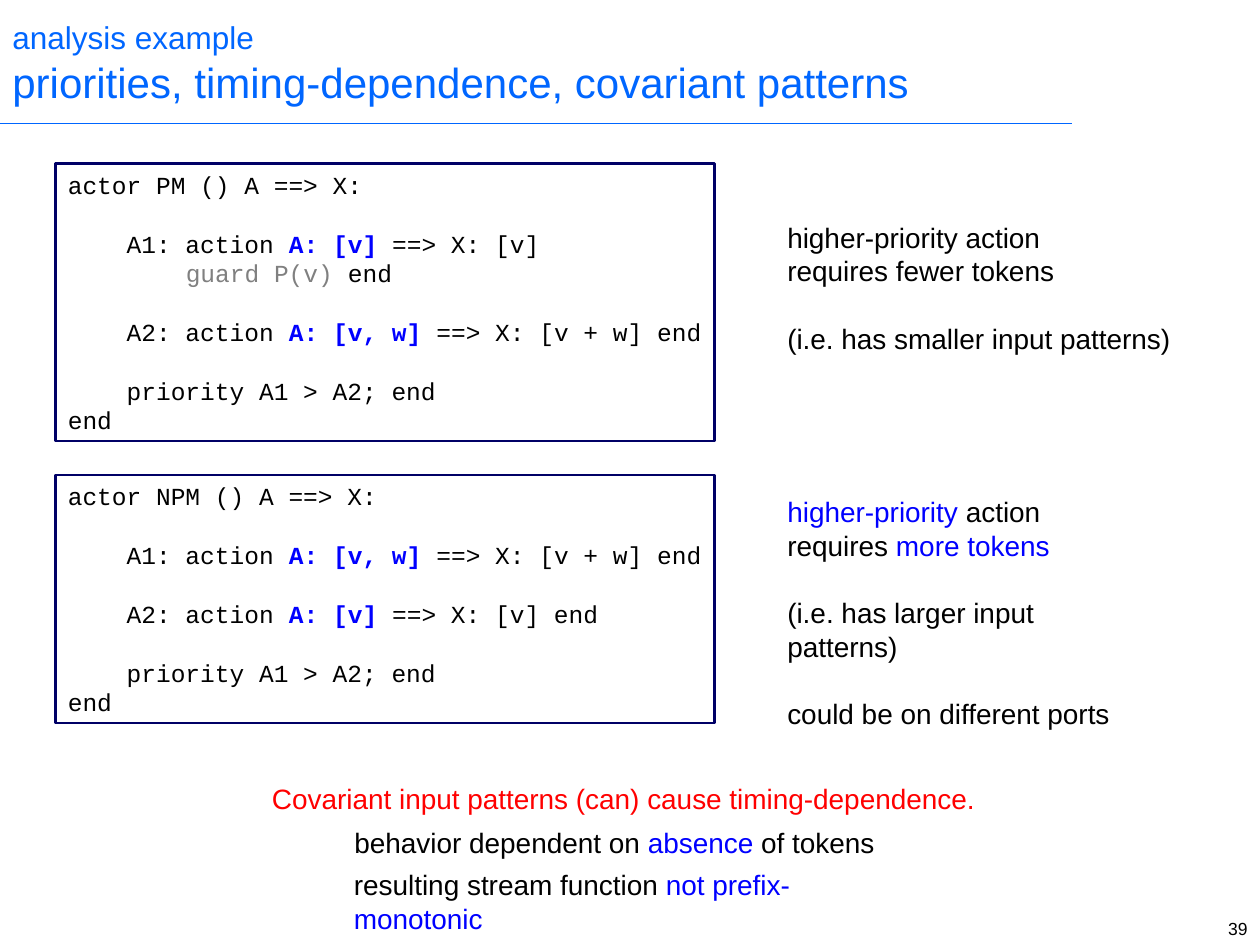
from lxml.etree import SubElement
from pptx import Presentation
from pptx.dml.color import RGBColor
from pptx.enum.shapes import MSO_CONNECTOR, MSO_SHAPE
from pptx.enum.text import MSO_ANCHOR, PP_ALIGN
from pptx.oxml.ns import qn
from pptx.util import Inches, Pt

LEADING = 1.2
BLACK, BLUE, GREY, RED = "000000", "0000FF", "808080", "FF0000"
TITLE_BLUE, FRAME_NAVY, WHITE = "0066FF", "000066", "FFFFFF"


def rgb(hex_code):
    return RGBColor.from_string(hex_code)


def write_lines(frame, lines, size, face="Arial", align=PP_ALIGN.LEFT):
    """Write lines of (text, colour, bold) pieces; an empty line becomes space before the next."""
    paragraph, gap = None, 0
    for pieces in lines:
        if not pieces:
            gap += size * LEADING
            continue
        paragraph = frame.add_paragraph() if paragraph else frame.paragraphs[0]
        paragraph.alignment = align
        paragraph.line_spacing = Pt(size * LEADING)
        if gap:
            paragraph.space_before = Pt(gap)
        gap = 0
        for text, colour, bold in pieces:
            run = paragraph.add_run()
            run.text = text
            run.font.color.rgb = rgb(colour)
            for key, value in {"name": face, "size": Pt(size), "bold": bold}.items():
                setattr(run.font, key, value)


prs = Presentation()
prs.slide_width, prs.slide_height = Inches(10), Inches(7.5)
slide = prs.slides.add_slide(prs.slide_layouts[6])

# Title and its rule
rule = slide.shapes.add_connector(
    MSO_CONNECTOR.STRAIGHT, 0, Inches(0.98), Inches(8.51), Inches(0.98))
rule.line.color.rgb = rgb(TITLE_BLUE)
rule.line.width = Pt(1)
SubElement(rule._element.spPr, qn("a:effectLst"))

heading = slide.shapes.add_textbox(0, 0, Inches(8.65), Inches(0.99)).text_frame
heading.word_wrap = True
heading.vertical_anchor = MSO_ANCHOR.MIDDLE
write_lines(heading, [[("analysis example", TITLE_BLUE, False)]], 18)
subject = heading.add_paragraph()
subject.line_spacing = Pt(24 * LEADING)
topic = subject.add_run()
topic.text = "priorities, timing-dependence, covariant patterns"
topic.font.color.rgb = rgb(TITLE_BLUE)
topic.font.name, topic.font.size = "Arial", Pt(24)

# Actor listings
ONE_TOKEN = ("A: [v]", BLUE, True)
TWO_TOKENS = ("A: [v, w]", BLUE, True)
A1 = ("    A1: action ", BLACK, False)
A2 = ("    A2: action ", BLACK, False)
SUM = (" ==> X: [v + w] end", BLACK, False)
CLOSING = [[], [("    priority A1 > A2; end", BLACK, False)], [("end", BLACK, False)]]

actors = [
    (1.3, 2.2, [
        [("actor PM () A ==> X:", BLACK, False)], [],
        [A1, ONE_TOKEN, (" ==> X: [v]", BLACK, False)],
        [("        ", BLACK, False), ("guard P(v) ", GREY, False), ("end", BLACK, False)], [],
        [A2, TWO_TOKENS, SUM]]),
    (3.77, 1.97, [
        [("actor NPM () A ==> X:", BLACK, False)], [],
        [A1, TWO_TOKENS, SUM], [],
        [A2, ONE_TOKEN, (" ==> X: [v] end", BLACK, False)]]),
]
for top, height, code in actors:
    listing = slide.shapes.add_shape(
        MSO_SHAPE.RECTANGLE, Inches(0.44), Inches(top), Inches(5.23), Inches(height))
    listing.shadow.inherit = False
    listing.fill.solid()
    listing.fill.fore_color.rgb = rgb(WHITE)
    listing.line.color.rgb = rgb(FRAME_NAVY)
    listing.line.width = Pt(1.5)
    listing.text_frame.word_wrap = False
    listing.text_frame.vertical_anchor = MSO_ANCHOR.TOP
    write_lines(listing.text_frame, code + CLOSING, 14, "Courier New")

# Remarks beside the listings, conclusions below, page number
remarks = [
    (6.15, 1.7, 3.24, 1.17, 16, PP_ALIGN.LEFT, [
        [("higher-priority action", BLACK, False)],
        [("requires fewer tokens", BLACK, False)], [],
        [("(i.e. has smaller input patterns)", BLACK, False)]]),
    (6.15, 3.88, 3.09, 1.7, 16, PP_ALIGN.LEFT, [
        [("higher-priority", BLUE, False), (" action", BLACK, False)],
        [("requires ", BLACK, False), ("more tokens", BLUE, False)], [],
        [("(i.e. has larger input patterns)", BLACK, False)], [],
        [("could be on different ports", BLACK, False)]]),
    (2.06, 6.15, 5.78, 0.37, 16, PP_ALIGN.LEFT, [
        [("Covariant input patterns (can) cause timing-dependence.", RED, False)]]),
    (2.71, 6.5, 4.33, 0.37, 16, PP_ALIGN.RIGHT, [
        [("behavior dependent on ", BLACK, False), ("absence", BLUE, False),
         (" of tokens", BLACK, False)]]),
    (2.71, 6.84, 4.68, 0.37, 16, PP_ALIGN.LEFT, [
        [("resulting stream function ", BLACK, False), ("not prefix-monotonic", BLUE, False)]]),
    (9.07, 7.24, 0.93, 0.23, 10, PP_ALIGN.RIGHT, [[("39", BLACK, False)]]),
]
for left, top, width, height, size, align, lines in remarks:
    remark = slide.shapes.add_textbox(
        Inches(left), Inches(top), Inches(width), Inches(height)).text_frame
    remark.word_wrap = False
    write_lines(remark, lines, size, align=align)

prs.save("out.pptx")
